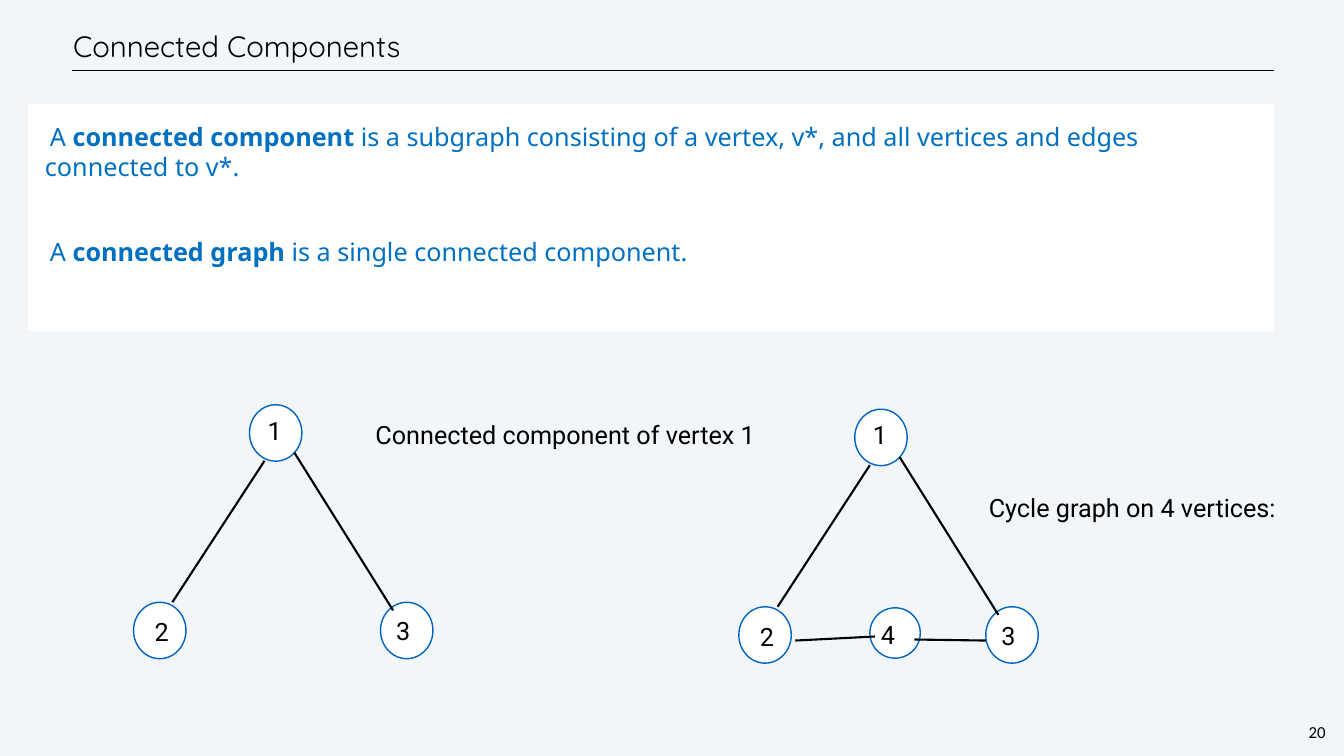
from dataclasses import dataclass

from lxml.etree import SubElement
from pptx import Presentation
from pptx.dml.color import RGBColor
from pptx.enum.shapes import MSO_CONNECTOR, MSO_SHAPE
from pptx.enum.text import MSO_ANCHOR, MSO_AUTO_SIZE, PP_ALIGN
from pptx.oxml.ns import qn
from pptx.util import Pt


@dataclass(frozen=True)
class Theme:
    background: RGBColor = RGBColor(0xF3, 0xF6, 0xF9)
    panel: RGBColor = RGBColor(0xFF, 0xFF, 0xFF)
    ink: RGBColor = RGBColor(0, 0, 0)
    accent: RGBColor = RGBColor(0, 0x70, 0xC0)
    outline: RGBColor = RGBColor(0x03, 0x65, 0xC0)
    title_size: int = 42
    text_size: int = 36
    number_size: int = 24
    title_font: str = "Quicksand"
    body_font: str = "Noto Sans"
    label_font: str = "Roboto"
    number_font: str = "Calibri"


THEME = Theme()
DEFINITIONS = [
    ("connected component", " is a subgraph consisting of a vertex, v*, "
     "and all vertices and edges connected to v*."),
    ("connected graph", " is a single connected component."),
]

# Vertices: name, left, top, width, height, label offset across and down
PATH_VERTICES = [
    ("1", 165.6, 0, 74.9, 80.6, 21.6, 10.1),
    ("2", 0, 282.2, 74.9, 80.6, 25.9, 15.8),
    ("3", 352.8, 282.2, 74.9, 80.6, 18, 14.4),
]
FOURTH_VERTEX = ("4", 187.2, 283.7, 72, 72, 11.5, 12.2)

# Edges: start and end, measured from the corner of the graph
PATH_EDGES = [(187.2, 79.9, 55.4, 282.2), (229.7, 68.4, 370.8, 293.8)]
CYCLE_EDGES = [(80.6, 330.5, 194.4, 324.7), (250.6, 329, 352.8, 330.5)]


def set_font(font, name, size, color):
    font.name = name
    font.size = Pt(size)
    font.color.rgb = color


def place(shape, left, top, width, height):
    shape.left, shape.top = Pt(left), Pt(top)
    shape.width, shape.height = Pt(width), Pt(height)


def set_frame(frame, inset, anchor, wrap=True):
    frame.margin_left = frame.margin_right = Pt(inset)
    frame.margin_top = frame.margin_bottom = Pt(inset)
    frame.vertical_anchor = anchor
    frame.word_wrap = wrap
    frame.auto_size = MSO_AUTO_SIZE.NONE


def add_line(shapes, start_x, start_y, end_x, end_y, weight):
    line = shapes.add_connector(
        MSO_CONNECTOR.STRAIGHT, Pt(start_x), Pt(start_y), Pt(end_x), Pt(end_y))
    line.line.color.rgb = THEME.ink
    line.line.width = Pt(weight)
    SubElement(line._element.spPr, qn("a:effectLst"))


def add_label(shapes, text, left, top, width, wrap=True):
    box = shapes.add_textbox(Pt(left), Pt(top), Pt(width), Pt(51.8))
    set_frame(box.text_frame, 4.3, MSO_ANCHOR.MIDDLE, wrap)
    para = box.text_frame.paragraphs[0]
    para.text = text
    set_font(para.font, THEME.label_font, THEME.text_size, THEME.ink)


def add_graph(slide, left, top, vertices, edges):
    shapes = slide.shapes.add_group_shape().shapes
    for _, across, down, width, height, _, _ in vertices:
        circle = shapes.add_shape(MSO_SHAPE.OVAL, Pt(left + across),
                                  Pt(top + down), Pt(width), Pt(height))
        circle.shadow.inherit = False
        circle.fill.solid()
        circle.fill.fore_color.rgb = THEME.panel
        circle.line.color.rgb = THEME.outline
        circle.line.width = Pt(2)
    for start_x, start_y, end_x, end_y in edges:
        add_line(shapes, left + start_x, top + start_y,
                 left + end_x, top + end_y, 3)
    for name, across, down, _, _, label_x, label_y in vertices:
        add_label(shapes, name, left + across + label_x,
                  top + down + label_y, 77.8)


def fill_title(title):
    place(title, 100.1, 30.2, 1628.6, 71.3)
    set_frame(title.text_frame, 4.3, MSO_ANCHOR.MIDDLE)
    para = title.text_frame.paragraphs[0]
    para.text = "Connected Components"
    para.alignment = PP_ALIGN.LEFT
    para.line_spacing = Pt(50)
    set_font(para.font, THEME.title_font, THEME.title_size, THEME.ink)


def fill_definitions(body):
    place(body, 40.3, 149, 1779.8, 323.3)
    body.fill.solid()
    body.fill.fore_color.rgb = THEME.panel
    frame = body.text_frame
    set_frame(frame, 23.8, MSO_ANCHOR.TOP)
    for index, (term, meaning) in enumerate(DEFINITIONS):
        para = frame.add_paragraph() if index else frame.paragraphs[0]
        properties = para._p.get_or_add_pPr()
        properties.set("marL", "0")
        properties.set("indent", str(Pt(7.2)))
        SubElement(properties, qn("a:buNone"))
        para.line_spacing = Pt(43)
        para.space_before = Pt(79 if index else 0)
        set_font(para.font, THEME.body_font, THEME.text_size, THEME.accent)
        for text, bold in (("A ", False), (term, True), (meaning, False)):
            span = para.add_run()
            span.text = text
            span.font.bold = bold


def add_page_number(slide):
    box = slide.shapes.add_textbox(Pt(1866.2), Pt(1028.9), Pt(31), Pt(33.8))
    set_frame(box.text_frame, 2.9, MSO_ANCHOR.TOP, wrap=False)
    para = box.text_frame.paragraphs[0]
    para.text = "20"
    para.alignment = PP_ALIGN.CENTER
    para.line_spacing = Pt(28)
    set_font(para.font, THEME.number_font, THEME.number_size, THEME.ink)


def main():
    deck = Presentation()
    deck.slide_width, deck.slide_height = Pt(1920), Pt(1080)
    slide = deck.slides.add_slide(deck.slide_layouts[1])
    slide.background.fill.solid()
    slide.background.fill.fore_color.rgb = THEME.background

    # Heading, rule and definitions
    fill_title(slide.shapes.title)
    add_line(slide.shapes, 102.2, 100.8, 1819.4, 100.8, 1)
    fill_definitions(slide.placeholders[1])

    # Component on the left, cycle on the right
    add_graph(slide, 190.8, 578.2, PATH_VERTICES, PATH_EDGES)
    add_label(slide.shapes, "Connected component of vertex 1",
              532.1, 594.7, 553.7, wrap=False)
    add_graph(slide, 1055.5, 584.6, PATH_VERTICES + [FOURTH_VERTEX],
              PATH_EDGES + CYCLE_EDGES)
    add_label(slide.shapes, "Cycle graph on 4 vertices:",
              1408.3, 698.4, 428.4, wrap=False)

    add_page_number(slide)
    deck.save("out.pptx")


if __name__ == "__main__":
    main()
